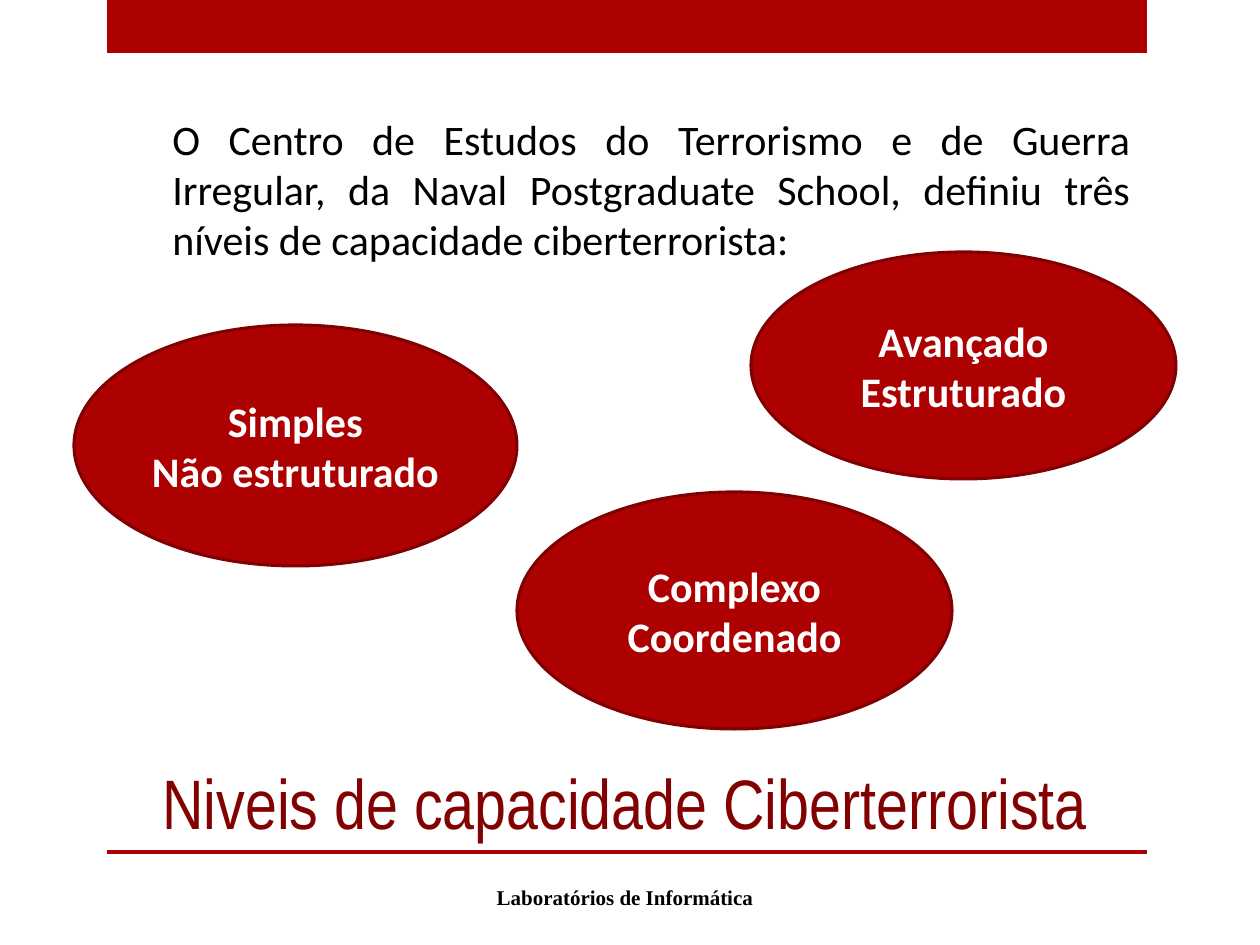
from pptx import Presentation
from pptx.dml.color import RGBColor
from pptx.enum.shapes import MSO_SHAPE as Shape
from pptx.enum.text import MSO_ANCHOR as Anchor, PP_ALIGN as Align
from pptx.util import Inches, Pt

PX = Inches(1) / 126
RED = RGBColor(0xAD, 0x01, 0x01)
DARK_RED = RGBColor(0x80, 0x01, 0x01)
TITLE_RED = RGBColor(0x82, 0x01, 0x01)
BLACK = RGBColor(0, 0, 0)
WHITE = RGBColor(0xFF, 0xFF, 0xFF)


def add_red_shape(kind, *box):
    shape = slide.shapes.add_shape(kind, *[round(v * PX) for v in box])
    shape.shadow.inherit = False
    shape.fill.solid()
    shape.fill.fore_color.rgb = RED
    shape.line.fill.background()
    return shape


def write(shape, text, font, size, color, align=Align.CENTER, anchor=Anchor.MIDDLE, bold=False):
    frame = shape.text_frame
    frame.text = text
    frame.word_wrap = True
    frame.vertical_anchor = anchor
    for paragraph in frame.paragraphs:
        paragraph.alignment = align
        for run in paragraph.runs:
            run.font.name = font
            run.font.size = Pt(size)
            run.font.bold = bold
            run.font.color.rgb = color


presentation = Presentation()
presentation.slide_width = round(1260 * PX)
presentation.slide_height = round(945 * PX)
slide = presentation.slides.add_slide(presentation.slide_layouts[6])

# Top band and rule under the title
for top, height in [(0, 53), (850, 4)]:
    add_red_shape(Shape.RECTANGLE, 107, top, 1040, height)

# Title, introduction and footer
texts = [
    ((74, 743, 1101, 107), "Niveis de capacidade Ciberterrorista",
     "Arial Narrow", 40, TITLE_RED, Align.CENTER, Anchor.BOTTOM, False),
    ((160, 107, 983, 165),
     "O Centro de Estudos do Terrorismo e de Guerra Irregular, da Naval "
     "Postgraduate School, definiu três níveis de capacidade ciberterrorista:",
     "Calibri", 24, BLACK, Align.JUSTIFY, Anchor.TOP, False),
    ((289, 872, 672, 50), "Laboratórios de Informática",
     "Times New Roman", 12, BLACK, Align.CENTER, Anchor.MIDDLE, True),
]
for box, *content in texts:
    write(slide.shapes.add_textbox(*[round(v * PX) for v in box]), *content)

# Capability levels
levels = [
    ((74, 325, 443, 241), "Simples\nNão estruturado"),
    ((751, 252, 425, 227), "Avançado\nEstruturado"),
    ((517, 492, 435, 237), "Complexo\nCoordenado"),
]
for box, label in levels:
    ellipse = add_red_shape(Shape.OVAL, *box)
    ellipse.line.color.rgb = DARK_RED
    ellipse.line.width = Pt(1.75)
    write(ellipse, label, "Calibri", 24, WHITE, bold=True)

presentation.save("out.pptx")
